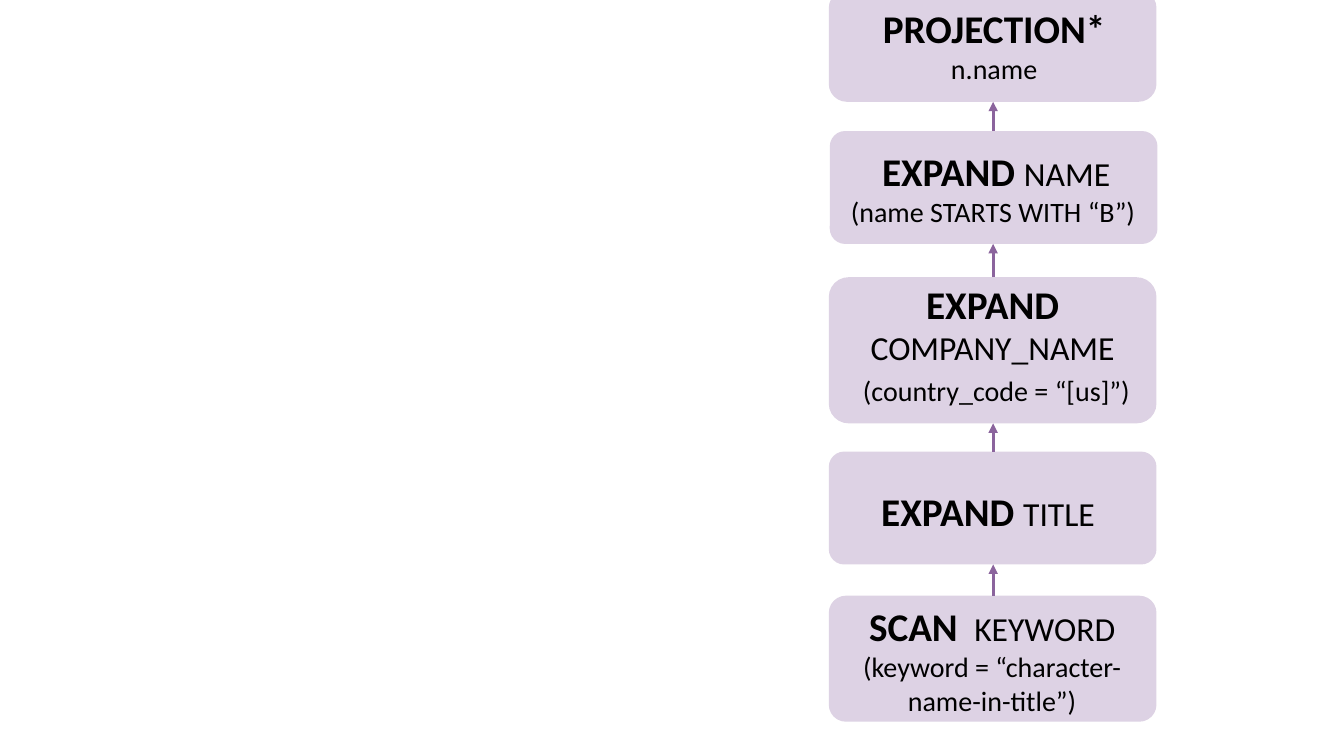
"""Build a slide showing a query plan as a chain of operators, read bottom to top."""
from dataclasses import dataclass
from itertools import pairwise

from lxml import etree
from pptx import Presentation
from pptx import util as u
from pptx.dml.color import RGBColor
from pptx.enum import shapes, text
from pptx.oxml.ns import qn

COLORS = {"box": "DDD2E4", "arrow": "8B649D", "text": "000000"}
FONT = "Calibri"
BOX_LEFT, BOX_WIDTH, ARROW_X = 8.22, 3.25, 9.85


@dataclass(frozen=True)
class Run:
    text: str
    size: int
    bold: bool = False


@dataclass(frozen=True)
class Operator:
    top: float
    height: float
    label: tuple[float, float, float, float]
    lines: tuple[tuple[Run, ...], ...]
    left: float = BOX_LEFT
    corner: float = 0.136


OPERATORS = (
    Operator(5.91, 1.25, (8.1, 5.93, 3.48, 1.25), (
        (Run("SCAN ", 28, True), Run(" KEYWORD", 24)),
        (Run("(keyword = “character-name-in-title”)", 20),))),
    Operator(4.48, 1.12, (8.57, 4.79, 2.46, 0.57), (
        (Run("EXPAND ", 28, True), Run("TITLE", 24)),)),
    Operator(2.75, 1.45, (8.02, 2.73, 3.65, 1.38), (
        (Run("EXPAND ", 28, True), Run("COMPANY_NAME", 24)),
        (Run(" ", 24, True), Run("(country_code = “[us]”)", 20)))),
    Operator(1.3, 1.12, (8.14, 1.41, 3.48, 0.91), (
        (Run("EXPAND ", 28, True), Run("NAME", 24)),
        (Run("(name STARTS WITH “B”) ", 20),)), left=8.23),
    Operator(-0.1, 1.11, (8.12, -0.01, 3.48, 0.91), (
        (Run("PROJECTION*", 28, True),),
        (Run("n.name", 20),)), corner=0.161),
)


def rgb(name: str) -> RGBColor:
    """Return a named palette colour."""
    return RGBColor.from_string(COLORS[name])


def add_text(p, content: str, *, size: int, bold: bool = False) -> None:
    """Append a formatted run to a paragraph."""
    r = p.add_run()
    r.text = content
    r.font.name = FONT
    r.font.size = u.Pt(size)
    r.font.bold = bold
    r.font.color.rgb = rgb("text")


def add_box(slide, op: Operator) -> None:
    """Draw the rounded box of an operator."""
    sp = slide.shapes.add_shape(
        shapes.MSO_SHAPE.ROUNDED_RECTANGLE,
        *map(u.Inches, (op.left, op.top, BOX_WIDTH, op.height)))
    sp.adjustments[0] = op.corner
    sp.shadow.inherit = False
    sp.fill.solid()
    sp.fill.fore_color.rgb = rgb("box")
    sp.line.fill.background()


def add_label(slide, op: Operator) -> None:
    """Write the centred lines of an operator."""
    tf = slide.shapes.add_textbox(*map(u.Inches, op.label)).text_frame
    tf.word_wrap = True
    tf.auto_size = text.MSO_AUTO_SIZE.SHAPE_TO_FIT_TEXT
    for i, line in enumerate(op.lines):
        p = tf.add_paragraph() if i else tf.paragraphs[0]
        p.alignment = text.PP_ALIGN.CENTER
        for run in line:
            add_text(p, run.text, size=run.size, bold=run.bold)


def add_arrow(slide, lower: Operator, upper: Operator) -> None:
    """Draw an arrow from the lower operator up to the next one."""
    x = u.Inches(ARROW_X)
    line = slide.shapes.add_connector(
        shapes.MSO_CONNECTOR.STRAIGHT, x, u.Inches(lower.top),
        x, u.Inches(upper.top + upper.height))
    line.line.color.rgb = rgb("arrow")
    line.line.width = u.Pt(2.25)
    etree.SubElement(line.line._get_or_add_ln(), qn("a:tailEnd"), type="triangle")
    etree.SubElement(line._element.spPr, qn("a:effectLst"))


def main() -> None:
    """Create and save the presentation."""
    prs = Presentation()
    prs.slide_width, prs.slide_height = u.Inches(13.33), u.Inches(7.5)
    slide = prs.slides.add_slide(prs.slide_layouts[6])
    for op in OPERATORS:
        add_box(slide, op)
        add_label(slide, op)
    for lower, upper in pairwise(OPERATORS):
        add_arrow(slide, lower, upper)
    prs.save("out.pptx")


if __name__ == "__main__":
    main()
